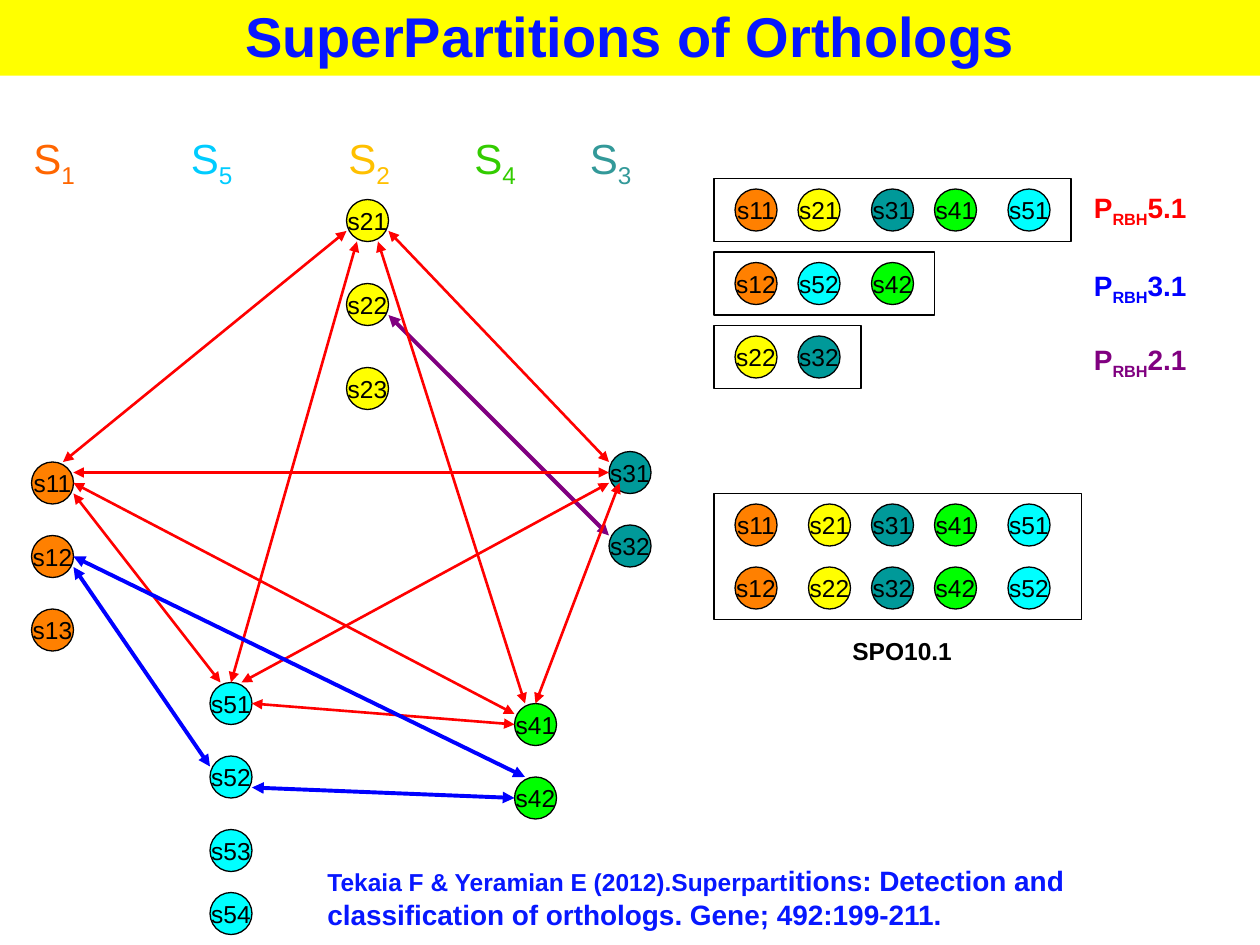
from typing import NamedTuple

from pptx import Presentation
from pptx.dml.color import RGBColor
from pptx.enum.shapes import MSO_CONNECTOR as Link, MSO_SHAPE as Kind
from pptx.enum.text import MSO_ANCHOR as Anchor, PP_ALIGN as Align
from pptx.oxml.ns import qn
from pptx.util import Cm, Pt
from lxml.etree import SubElement

BLACK, RED, BLUE, PURPLE, NAVY = "000000", "FF0000", "0000FF", "800080", "0717FF"
YELLOW = "FFFF00"
GENES = {"1": "FF8000", "2": YELLOW, "3": "009999", "4": "00FF00", "5": "00FFFF"}
DISC = 4  # disc diameter in grid steps


class Part(NamedTuple):
    """Text run; a low one is a subscript."""
    text: str
    size: int
    low: bool = False


class Species(NamedTuple):
    num: str
    left: int
    tops: list[int]
    head: int
    color: str


class Panel(NamedTuple):
    top: int
    width: int
    height: int
    cols: list[int]
    rows: list[str]


class Label(NamedTuple):
    top: float
    num: str
    color: str


class Web(NamedTuple):
    color: str
    width: float
    ends: list[tuple[int, int, int, int]]


SPECIES = [
    Species("1", 3, [44, 51, 58], 2, "FF6600"),
    Species("5", 20, [65, 72, 79, 85], 17, "00CCFF"),
    Species("2", 33, [19, 27, 35], 32, "FFC000"),
    Species("4", 49, [67, 74], 44, "33CC00"),
    Species("3", 58, [43, 50], 55, "339999"),
]
PANELS = [
    Panel(17, 34, 6, [70, 76, 83, 89, 96], ["s11 s21 s31 s41 s51"]),
    Panel(24, 21, 6, [70, 76, 83], ["s12 s52 s42"]),
    Panel(31, 14, 6, [70, 76], ["s22 s32"]),
    Panel(47, 35, 12, [70, 77, 83, 89, 96],
          ["s11 s21 s31 s41 s51", "s12 s22 s32 s42 s52"]),
]
LABELS = [Label(17.6, "5.1", RED), Label(25, "3.1", BLUE), Label(32, "2.1", PURPLE)]
WEBS = [
    Web(PURPLE, 2.25, [(37, 30, 58, 51)]),
    Web(RED, 1.5, [
        (24, 67, 49, 69), (23, 65, 58, 46), (6, 44, 33, 22), (37, 22, 58, 44),
        (7, 47, 21, 65), (51, 67, 59, 46), (7, 45, 58, 45), (22, 65, 34, 23),
        (50, 67, 36, 23), (49, 68, 7, 46)]),
    Web(BLUE, 2.25, [(7, 54, 20, 73), (24, 75, 49, 76), (7, 53, 50, 74)]),
]

deck = Presentation()
deck.slide_width, deck.slide_height = Cm(25.4), Cm(19.05)
shapes = deck.slides.add_slide(deck.slide_layouts[6]).shapes


def grid(*steps: float) -> list[Cm]:
    """Lengths on a grid of 120 by 90 steps."""
    return [Cm(25.4 * step / 120) for step in steps]


def rgb(code: str) -> RGBColor:
    return RGBColor.from_string(code)


def write(frame, parts: list[Part], color: str, bold: bool = False,
          align: Align = Align.LEFT) -> None:
    para = frame.paragraphs[0]
    para.alignment = align
    for part in parts:
        run = para.add_run()
        run.text = part.text
        if part.size != parts[0].size:
            run.font.size = Pt(part.size)
        if part.low:
            run._r.get_or_add_rPr().set("baseline", "-25000")
    font = para.font
    font.name, font.size, font.bold = "Arial", Pt(parts[0].size), bold
    font.color.rgb = rgb(color)


def add_text(box: tuple, parts: list[Part], color: str, bold: bool = False) -> None:
    frame = shapes.add_textbox(*grid(*box)).text_frame
    frame.word_wrap = True
    write(frame, parts, color, bold)


def add_form(kind: Kind, box: tuple, fill: str | None, edge: bool = True):
    form = shapes.add_shape(kind, *grid(*box))
    form.shadow.inherit = False
    if fill:
        form.fill.solid()
        form.fill.fore_color.rgb = rgb(fill)
    else:
        form.fill.background()
    if edge:
        form.line.color.rgb = rgb(BLACK)
        form.line.width = Pt(0.75)
    else:
        form.line.fill.background()
    return form


def add_gene(name: str, left: int, top: int) -> None:
    frame = add_form(Kind.OVAL, (left, top, DISC, DISC), GENES[name[1]]).text_frame
    frame.word_wrap = False
    frame.vertical_anchor = Anchor.MIDDLE
    write(frame, [Part(name, 14)], BLACK, align=Align.CENTER)


def add_panel(panel: Panel) -> None:
    add_form(Kind.RECTANGLE, (68, panel.top, panel.width, panel.height), None)
    for i, row in enumerate(panel.rows):
        for name, left in zip(row.split(), panel.cols):
            add_gene(name, left, panel.top + 1 + 6 * i)


def add_arrow(ends: tuple, color: str, width: float) -> None:
    arrow = shapes.add_connector(Link.STRAIGHT, *grid(*ends))
    arrow.line.color.rgb = rgb(color)
    arrow.line.width = Pt(width)
    props = arrow._element.spPr
    for tag in ("a:headEnd", "a:tailEnd"):
        SubElement(props.find(qn("a:ln")), qn(tag), type="triangle")
    SubElement(props, qn("a:effectLst"))


# Title band
band = add_form(Kind.RECTANGLE, (0, -0.4, 120, 7.6), YELLOW, edge=False).text_frame
band.vertical_anchor = Anchor.TOP
band.word_wrap = True
write(band, [Part("SuperPartitions of Orthologs", 32)], NAVY, True, Align.CENTER)

# Partitions and their labels
for panel in PANELS:
    add_panel(panel)
for label in LABELS:
    add_text((103, label.top, 14, 4.4),
             [Part("P", 16), Part("RBH", 16, True), Part(label.num, 16)],
             label.color, True)
add_text((80, 60, 13, 4), [Part("SPO10.1", 14)], BLACK, True)

# Species with their genes
for kin in SPECIES:
    add_text((kin.head, 12, 8, 6), [Part("S", 24), Part(kin.num, 24, True)], kin.color)
    for i, top in enumerate(kin.tops, 1):
        add_gene(f"s{kin.num}{i}", kin.left, top)

# Best hits between genes
for web in WEBS:
    for ends in web.ends:
        add_arrow(ends, web.color, web.width)

# Citation
add_text((30, 81.7, 89, 7.7), [
    Part("Tekaia F & Yeramian E (2012).Superpart", 14),
    Part("itions: Detection and classification of orthologs. Gene; 492:199-211.", 16),
], NAVY, True)

deck.save("out.pptx")
